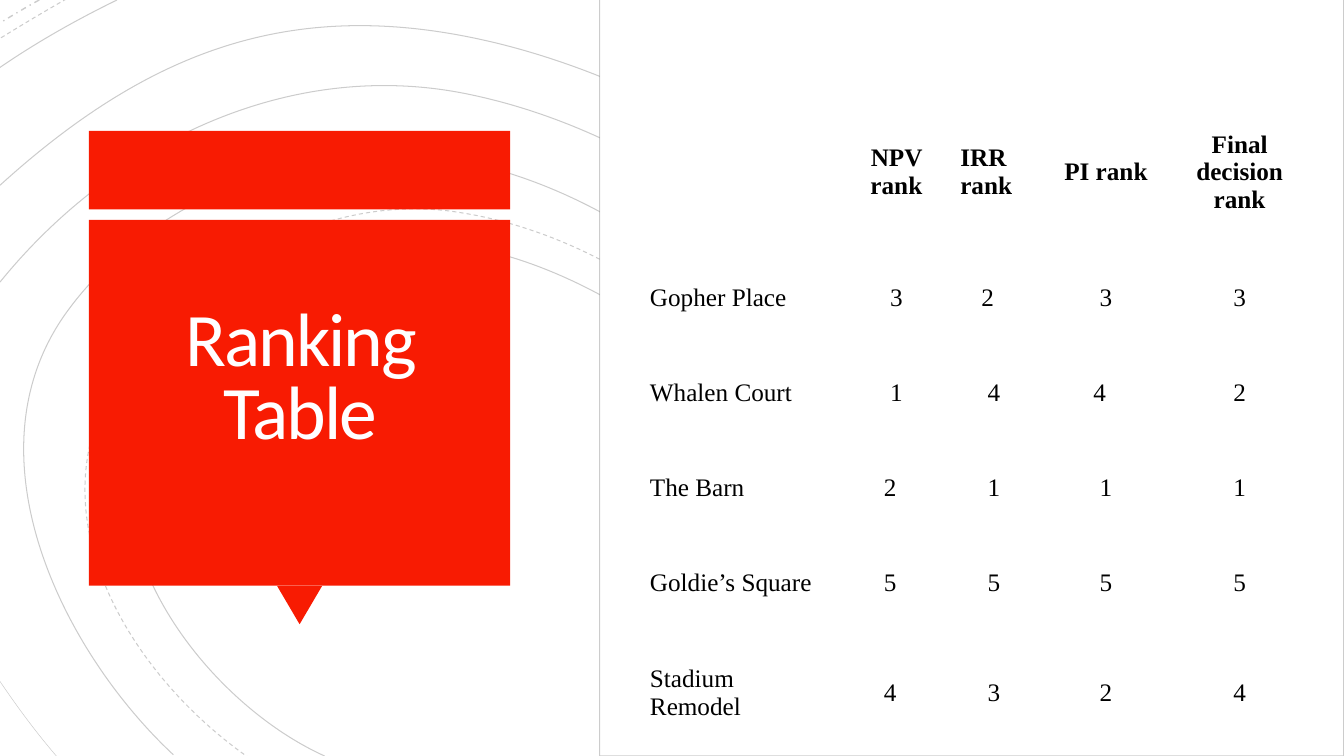
from lxml.etree import SubElement
from pptx import Presentation
from pptx.dml.color import RGBColor
from pptx.enum.dml import MSO_LINE
from pptx.enum.shapes import MSO_SHAPE
from pptx.enum.text import MSO_ANCHOR, PP_ALIGN
from pptx.oxml.ns import qn
from pptx.util import Cm, Pt

COLORS = {"white": "FFFFFF", "red": "F81B02", "black": "000000", "title": "FFFEFF"}


def write(frame, text, font, size, color, align=PP_ALIGN.CENTER, bold=False,
          line_spacing=None, tracking=None):
    """Fill a text frame, one paragraph per line of text; tracking is in points."""
    frame.word_wrap = True
    for index, line in enumerate(text.split("\n")):
        para = frame.paragraphs[0] if index == 0 else frame.add_paragraph()
        para.alignment = align
        para.line_spacing = line_spacing
        span = para.add_run()
        span.text = line
        span.font.name = font
        span.font.size = Pt(size)
        span.font.bold = bold
        span.font.color.rgb = RGBColor.from_string(COLORS[color])
        if tracking is not None:
            span.font._element.set("spc", str(int(tracking * 100)))


def draw_faint_line(shape, weight, dash=MSO_LINE.SOLID):
    """Outline a shape in black at 20 % opacity."""
    shape.shadow.inherit = False
    shape.line.color.rgb = RGBColor.from_string(COLORS["black"])
    shape.line.width = Pt(weight)
    shape.line.dash_style = dash
    color = shape.line._ln.find(".//" + qn("a:srgbClr"))
    SubElement(color, qn("a:alpha"), val="20000")


deck = Presentation()
deck.slide_width, deck.slide_height = Cm(33.87), Cm(19.05)
page = deck.slides.add_slide(deck.slide_layouts[6])
shapes = page.shapes

# Contour curves: weight, dash, then a start point and Bézier triples in cm
contours = [
    (0.75, MSO_LINE.SOLID, [
        (22.25, 19.08), (26.04, 15.88), (21.21, 10.39), (18.75, 8),
        (16.48, 5.84), (13.61, 4.17), (10.46, 3.89),
        (7.29, 3.58), (3.58, 5.28), (1.73, 7.8),
        (-0.91, 11.35), (1.52, 16.36), (4.37, 19.02)]),
    (0.75, MSO_LINE.SOLID, [
        (15.42, 19.05), (18.03, 18.44), (22.35, 16.94), (20.96, 13.44),
        (19.63, 10.13), (15.62, 7.06), (12.19, 6.3),
        (9.07, 5.59), (5.49, 7.14), (3.84, 9.93),
        (1.85, 13.31), (5.08, 17.65), (8.18, 19.05)]),
    (0.75, MSO_LINE.DASH, [
        (17.91, 19.08), (19.43, 18.52), (21.21, 17.68), (22.02, 16.21),
        (23.01, 14.43), (21.95, 12.57), (20.75, 11.18),
        (18.36, 8.36), (15.04, 5.77), (11.25, 5.31),
        (8.1, 4.95), (4.9, 6.78), (3.1, 9.35),
        (0.69, 12.8), (3.23, 16.97), (6.25, 19.08)]),
    (0.75, MSO_LINE.SOLID, [
        (24.77, 19.08), (28.7, 15.34), (24.13, 10.49), (21.29, 7.77),
        (18.59, 5.23), (15.32, 3.05), (11.63, 2.34),
        (7.21, 1.5), (2.82, 3.63), (0, 7.11)]),
    (0.38, MSO_LINE.SOLID, [(0, 17.17), (0.48, 17.88), (0.94, 18.49), (1.42, 19.05)]),
    (0.75, MSO_LINE.SOLID, [
        (27.05, 19.08), (30.81, 15.11), (27.1, 10.72), (23.98, 7.8),
        (20.75, 4.8), (16.94, 2.21), (12.65, 1.12),
        (7.57, -0.15), (3.86, 1.17), (0, 4.67)]),
    (0.75, MSO_LINE.SOLID, [(2.95, 0), (2.01, 0.46), (0.99, 1.02), (0, 1.7)]),
    (0.75, MSO_LINE.DASH, [(1.68, -0.03), (1.14, 0.28), (0.58, 0.61), (0, 0.97)]),
    (1, MSO_LINE.DASH_DOT, [(0.99, 0), (0.66, 0.18), (0.33, 0.38), (0, 0.58)]),
]
for weight, dash, points in contours:
    start, *controls = [(Cm(x), Cm(y)) for x, y in points]
    builder = shapes.build_freeform(*start)
    builder.add_line_segments(controls, close=False)
    contour = builder.convert_to_shape()
    contour.fill.background()
    draw_faint_line(contour, weight, dash)
    # Turn every three straight segments into one cubic Bézier
    segments = list(contour._element.iter(qn("a:lnTo")))
    outline = segments[0].getparent()
    for first in range(0, len(segments), 3):
        curve = SubElement(outline, qn("a:cubicBezTo"))
        for segment in segments[first:first + 3]:
            curve.append(segment[0])
            outline.remove(segment)

# Red title card
card_parts = [
    (MSO_SHAPE.RECTANGLE, 2.24, 3.3, 10.62, 1.98, 0),
    (MSO_SHAPE.ISOSCELES_TRIANGLE, 6.98, 14.76, 1.14, 0.97, 180),
    (MSO_SHAPE.RECTANGLE, 2.24, 5.54, 10.62, 9.22, 0),
]
for kind, left, top, width, height, rotation in card_parts:
    part = shapes.add_shape(kind, Cm(left), Cm(top), Cm(width), Cm(height))
    part.rotation = rotation
    part.shadow.inherit = False
    part.fill.solid()
    part.fill.fore_color.rgb = RGBColor.from_string(COLORS["red"])
    part.line.fill.background()

title = shapes.add_textbox(Cm(2.49), Cm(5.77), Cm(10.16), Cm(5.66)).text_frame
title.margin_left = title.margin_right = title.margin_top = Cm(0.64)
title.margin_bottom = 0
title.vertical_anchor = MSO_ANCHOR.BOTTOM
write(title, "Ranking Table", "Calibri", 54, "title", line_spacing=0.8, tracking=-1.5)

# White panel behind the table
panel = shapes.add_shape(MSO_SHAPE.RECTANGLE, Cm(15.11), Cm(-0.03), Cm(18.75), Cm(19.08))
panel.fill.solid()
panel.fill.fore_color.rgb = RGBColor.from_string(COLORS["white"])
draw_faint_line(panel, 0.75)

# Ranking table
rankings = [
    ["", "NPV rank", "IRR rank", "PI rank", "Final decision\nrank"],
    ["Gopher Place", "3", "2", "3", "3"],
    ["Whalen Court", "1", "4", "4", "2"],
    ["The Barn", "2", "1", "1", "1"],
    ["Goldie’s Square", "5", "5", "5", "5"],
    ["Stadium Remodel", "4", "3", "2", "4"],
]
column_widths = [5.36, 2.46, 2.46, 3.18, 3.56]
row_heights = [3.81] + [2.38] * 5
left_of_center = {(1, 2), (2, 3), (3, 1), (4, 1), (5, 1)}

table_frame = shapes.add_table(len(rankings), len(column_widths), Cm(16), Cm(1.75),
                               Cm(sum(column_widths)), Cm(sum(row_heights)))
table = table_frame.table
table.horz_banding = False
for column, width in zip(table.columns, column_widths):
    column.width = Cm(width)
for row, height in zip(table.rows, row_heights):
    row.height = Cm(height)

for row_index, values in enumerate(rankings):
    for column_index, value in enumerate(values):
        cell = table.cell(row_index, column_index)
        narrowed = column_index == 0 or (row_index, column_index) in left_of_center
        cell.margin_left = Cm(0.38)
        cell.margin_right = Cm(0.7 if narrowed else 0.38)
        cell.margin_top, cell.margin_bottom = Cm(1.45), Cm(0.18)
        cell.vertical_anchor = MSO_ANCHOR.MIDDLE
        left_aligned = column_index == 0 or value == "IRR rank"
        if value:
            write(cell.text_frame, value, "Times New Roman", 18, "black",
                  align=PP_ALIGN.LEFT if left_aligned else PP_ALIGN.CENTER,
                  bold=row_index == 0)
        properties = cell._tc.get_or_add_tcPr()
        for side in ("a:lnL", "a:lnR", "a:lnT", "a:lnB"):
            border = SubElement(properties, qn(side), w=str(Pt(0.75)))
            fill = SubElement(border, qn("a:solidFill"))
            SubElement(fill, qn("a:srgbClr"), val=COLORS["white"])
        cell.fill.background()

deck.save("out.pptx")
